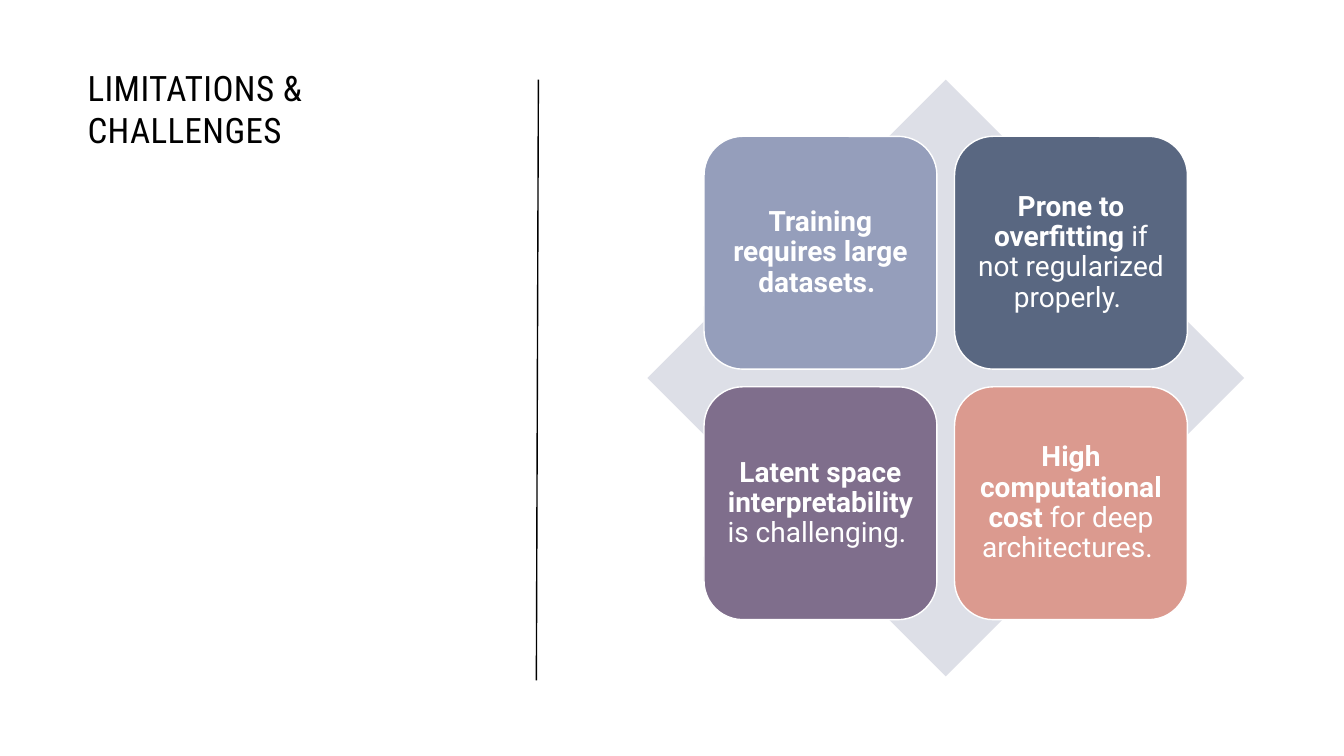
import pptx
import pptx.util
import pptx.dml.color
import pptx.enum.shapes
import pptx.enum.text
import pptx.oxml.ns
import lxml.etree

Inches = pptx.util.Inches
Shapes = pptx.enum.shapes.MSO_SHAPE

TITLE = "LIMITATIONS & CHALLENGES"
CHALLENGES = [
    {"bold": "Training requires large datasets. ", "plain": "", "fill": "959EBB"},
    {"bold": "Prone to overfitting", "plain": " if not regularized properly. ", "fill": "596781"},
    {"bold": "Latent space interpretability", "plain": " is challenging. ", "fill": "7F6E8C"},
    {"bold": "High computational cost", "plain": " for deep architectures. ", "fill": "DB9A8F"},
]
THEME = {
    "ink": "000000", "light": "FFFFFF", "diamond": "DDDFE7",
    "title_font": "Roboto Condensed", "body_font": "Roboto",
    "title_size": 25, "body_size": 20, "title_tracking": 30, "line_width": 1,
}
DIAMOND = {"left": 6.42, "top": 0.79, "size": 5.92}
TILE_SIZE = 2.31
TILE_PITCH = 2.485
COLUMNS = 2


def color(value):
    return pptx.dml.color.RGBColor.from_string(value)


def apply_format(target, values):
    for name, value in values.items():
        setattr(target, name, value)


def add_run(paragraph, text, font, size, ink, bold=False):
    run = paragraph.add_run()
    run.text = text
    apply_format(run.font, {"name": font, "size": pptx.util.Pt(size), "bold": bold})
    run.font.color.rgb = color(ink)
    return run


def add_square(slide, kind, left, top, size, fill, outline=None):
    shape = slide.shapes.add_shape(kind, Inches(left), Inches(top), Inches(size), Inches(size))
    shape.shadow.inherit = False
    shape.fill.solid()
    shape.fill.fore_color.rgb = color(fill)
    if outline:
        shape.line.color.rgb = color(outline)
        shape.line.width = pptx.util.Pt(THEME["line_width"])
    else:
        shape.line.fill.background()
    return shape


def add_title(slide):
    box = slide.shapes.add_textbox(Inches(0.77), Inches(0.61), Inches(3.96), Inches(4.99))
    apply_format(box.text_frame, {
        "word_wrap": True, "vertical_anchor": pptx.enum.text.MSO_ANCHOR.TOP,
    })
    run = add_run(box.text_frame.paragraphs[0], TITLE, THEME["title_font"],
                  THEME["title_size"], THEME["ink"])
    run.font._element.set("spc", str(THEME["title_tracking"]))


def add_divider(slide):
    divider = slide.shapes.add_connector(
        pptx.enum.shapes.MSO_CONNECTOR.STRAIGHT,
        Inches(5.32), Inches(6.75), Inches(5.34), Inches(0.79))
    divider.line.color.rgb = color(THEME["ink"])
    divider.line.width = pptx.util.Pt(THEME["line_width"])
    lxml.etree.SubElement(divider._element.spPr, pptx.oxml.ns.qn("a:effectLst"))


def add_tile(slide, index, challenge):
    row, column = divmod(index, COLUMNS)
    margin = (DIAMOND["size"] - TILE_SIZE - TILE_PITCH) / 2
    left = DIAMOND["left"] + margin + column * TILE_PITCH
    top = DIAMOND["top"] + margin + row * TILE_PITCH
    tile = add_square(slide, Shapes.ROUNDED_RECTANGLE, left, top, TILE_SIZE,
                      challenge["fill"], THEME["light"])
    inset = Inches(0.08)
    apply_format(tile.text_frame, {
        "word_wrap": True, "vertical_anchor": pptx.enum.text.MSO_ANCHOR.MIDDLE,
        "margin_left": inset, "margin_right": inset,
        "margin_top": inset, "margin_bottom": inset,
    })
    paragraph = tile.text_frame.paragraphs[0]
    apply_format(paragraph, {
        "alignment": pptx.enum.text.PP_ALIGN.CENTER, "line_spacing": 0.9,
    })
    for part in ("bold", "plain"):
        if challenge[part]:
            add_run(paragraph, challenge[part], THEME["body_font"], THEME["body_size"],
                    THEME["light"], part == "bold")


def main():
    presentation = pptx.Presentation()
    apply_format(presentation, {"slide_width": Inches(13.33), "slide_height": Inches(7.5)})
    slide = presentation.slides.add_slide(presentation.slide_layouts[6])
    add_divider(slide)
    add_title(slide)
    add_square(slide, Shapes.DIAMOND, DIAMOND["left"], DIAMOND["top"], DIAMOND["size"],
               THEME["diamond"])
    for index, challenge in enumerate(CHALLENGES):
        add_tile(slide, index, challenge)
    presentation.save("out.pptx")


if __name__ == "__main__":
    main()
